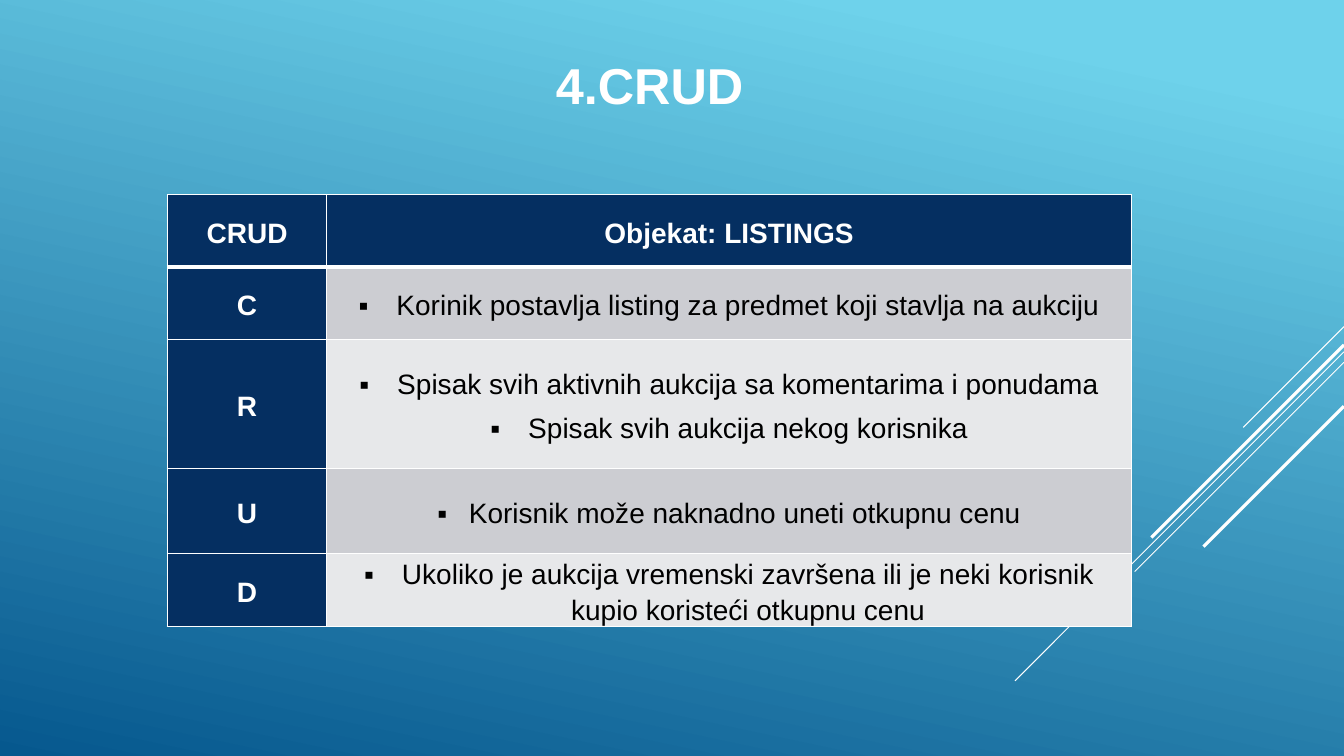
from dataclasses import dataclass

from lxml import etree
from pptx import Presentation
from pptx.dml.color import RGBColor
from pptx.enum.shapes import MSO_CONNECTOR
from pptx.enum.text import MSO_ANCHOR, PP_ALIGN
from pptx.oxml.ns import qn
from pptx.slide import Slide
from pptx.table import _Cell
from pptx.text.text import _Paragraph
from pptx.util import Pt

STRAIGHT = MSO_CONNECTOR.STRAIGHT
MIDDLE = MSO_ANCHOR.MIDDLE
CENTER = PP_ALIGN.CENTER

WHITE = RGBColor(0xFF, 0xFF, 0xFF)
BLACK = RGBColor(0x00, 0x00, 0x00)
NAVY = RGBColor(0x05, 0x2F, 0x61)
DARK_BAND = RGBColor(0xCC, 0xCD, 0xD2)
LIGHT_BAND = RGBColor(0xE7, 0xE8, 0xEA)
SKY = RGBColor(0x6E, 0xD2, 0xEB)
OCEAN = RGBColor(0x06, 0x58, 0x8E)

FONT = "Arial"
SLIDE_WIDTH, SLIDE_HEIGHT = 960, 540
COLUMN_WIDTHS = (114, 574.75)


@dataclass(frozen=True)
class Ray:
    top: float
    length: float
    weight: float


@dataclass(frozen=True)
class Operation:
    letter: str
    actions: tuple[str, ...]
    height: float
    indent: float = 27


RAYS = (
    Ray(233.3, 72, 0.75),
    Ray(251.3, 235, 0.75),
    Ray(258.8, 149.5, 0.75),
    Ray(246.4, 137.5, 2.25),
    Ray(290.2, 100.3, 2.25),
)

HEADER = Operation("CRUD", ("Objekat: LISTINGS",), 51.9)
OPERATIONS = (
    Operation("C", ("Korinik postavlja listing za predmet koji stavlja na aukciju",), 51.9),
    Operation("R", ("Spisak svih aktivnih aukcija sa komentarima i ponudama",
                    "Spisak svih aukcija nekog korisnika"), 92),
    Operation("U", ("Korisnik može naknadno uneti otkupnu cenu",), 60.75, 22.5),
    Operation("D", ("Ukoliko je aukcija vremenski završena ili je neki korisnik "
                    "kupio koristeći otkupnu cenu",), 51.9),
)


def write(paragraph: _Paragraph, text: str, *, size: float = 20,
          color: RGBColor = WHITE, bold: bool = True) -> None:
    paragraph.alignment = CENTER
    run = paragraph.add_run()
    run.text = text
    run.font.name = FONT
    run.font.size = Pt(size)
    run.font.bold = bold
    run.font.color.rgb = color


def add_bullet(paragraph: _Paragraph, indent: float) -> None:
    properties = paragraph._p.get_or_add_pPr()
    properties.set("marL", str(Pt(indent)))
    properties.set("indent", str(-Pt(indent)))
    etree.SubElement(properties, qn("a:buFont"), typeface=FONT)
    etree.SubElement(properties, qn("a:buChar"), char="▪")


def add_borders(cell: _Cell, top: float, bottom: float) -> None:
    properties = cell._tc.get_or_add_tcPr()
    for side, weight in (("L", 1), ("R", 1), ("T", top), ("B", bottom)):
        border = etree.SubElement(properties, qn(f"a:ln{side}"), w=str(Pt(weight)))
        fill = etree.SubElement(border, qn("a:solidFill"))
        etree.SubElement(fill, qn("a:srgbClr"), val=str(WHITE))


def fill_cell(cell: _Cell, texts: tuple[str, ...], background: RGBColor, *,
              color: RGBColor = WHITE, bold: bool = True, indent: float = 0,
              top: float = 1, bottom: float = 1) -> None:
    add_borders(cell, top, bottom)
    cell.fill.solid()
    cell.fill.fore_color.rgb = background
    cell.vertical_anchor = MIDDLE
    cell.margin_left = cell.margin_right = Pt(5.4)
    cell.margin_top = cell.margin_bottom = 0
    for index, text in enumerate(texts):
        frame = cell.text_frame
        paragraph = frame.add_paragraph() if index else frame.paragraphs[0]
        paragraph.line_spacing = 1.15
        paragraph.space_after = Pt(6)
        write(paragraph, text, color=color, bold=bold)
        if indent:
            add_bullet(paragraph, indent)


def add_ray(slide: Slide, ray: Ray) -> None:
    line = slide.shapes.add_connector(
        STRAIGHT, Pt(SLIDE_WIDTH), Pt(ray.top),
        Pt(SLIDE_WIDTH - ray.length), Pt(ray.top + ray.length))
    line.line.color.rgb = WHITE
    line.line.width = Pt(ray.weight)
    etree.SubElement(line._element.spPr, qn("a:effectLst"))


def paint_background(slide: Slide) -> None:
    fill = slide.background.fill
    fill.gradient()
    fill.gradient_angle = 258
    for stop, color, position in zip(fill.gradient_stops, (SKY, OCEAN), (0.1, 1)):
        stop.color.rgb = color
        stop.position = position


def add_title(slide: Slide, text: str) -> None:
    title = slide.shapes.title
    title.left, title.top, title.width, title.height = Pt(128), Pt(10), Pt(672), Pt(100)
    title.text_frame.vertical_anchor = MIDDLE
    write(title.text_frame.paragraphs[0], text, size=36)


def add_crud_table(slide: Slide) -> None:
    rows = (HEADER, *OPERATIONS)
    table = slide.shapes.add_table(
        len(rows), len(COLUMN_WIDTHS), Pt(119.5), Pt(139),
        Pt(sum(COLUMN_WIDTHS)), Pt(sum(row.height for row in rows))).table
    table.horz_banding = False
    for column, width in zip(table.columns, COLUMN_WIDTHS):
        column.width = Pt(width)
    for index, row in enumerate(rows):
        table.rows[index].height = Pt(row.height)
        top = 3 if index == 1 else 1
        bottom = 3 if index == 0 else 1
        letter_cell, action_cell = table.cell(index, 0), table.cell(index, 1)
        fill_cell(letter_cell, (row.letter,), NAVY, top=top, bottom=bottom)
        if row is HEADER:
            fill_cell(action_cell, row.actions, NAVY, top=top, bottom=bottom)
        else:
            band = DARK_BAND if index % 2 else LIGHT_BAND
            fill_cell(action_cell, row.actions, band, color=BLACK, bold=False,
                      indent=row.indent, top=top, bottom=bottom)


def main() -> None:
    presentation = Presentation()
    presentation.slide_width = Pt(SLIDE_WIDTH)
    presentation.slide_height = Pt(SLIDE_HEIGHT)
    slide = presentation.slides.add_slide(presentation.slide_layouts[5])
    paint_background(slide)
    for ray in RAYS:
        add_ray(slide, ray)
    add_title(slide, "4.CRUD")
    add_crud_table(slide)
    presentation.save("out.pptx")


if __name__ == "__main__":
    main()
